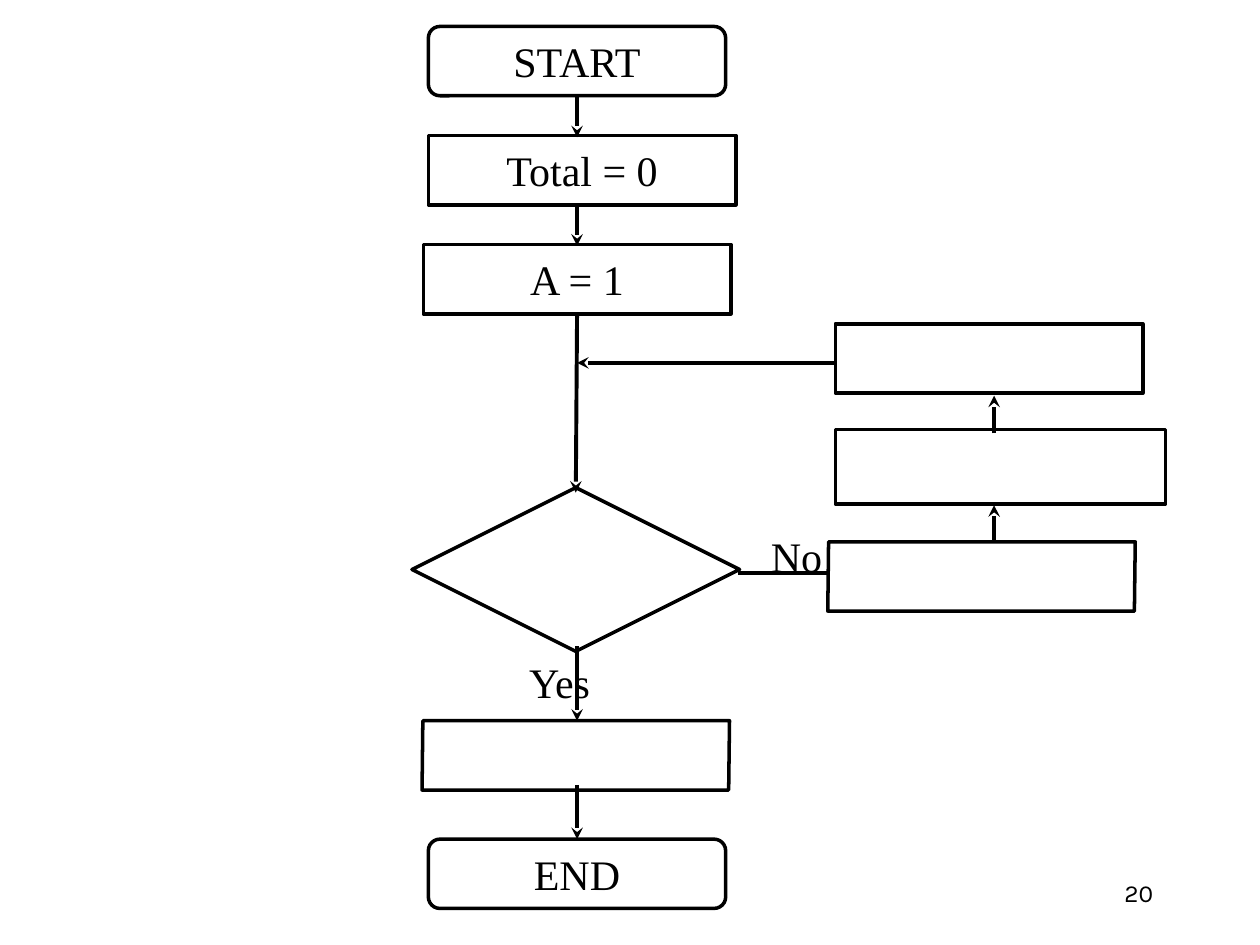
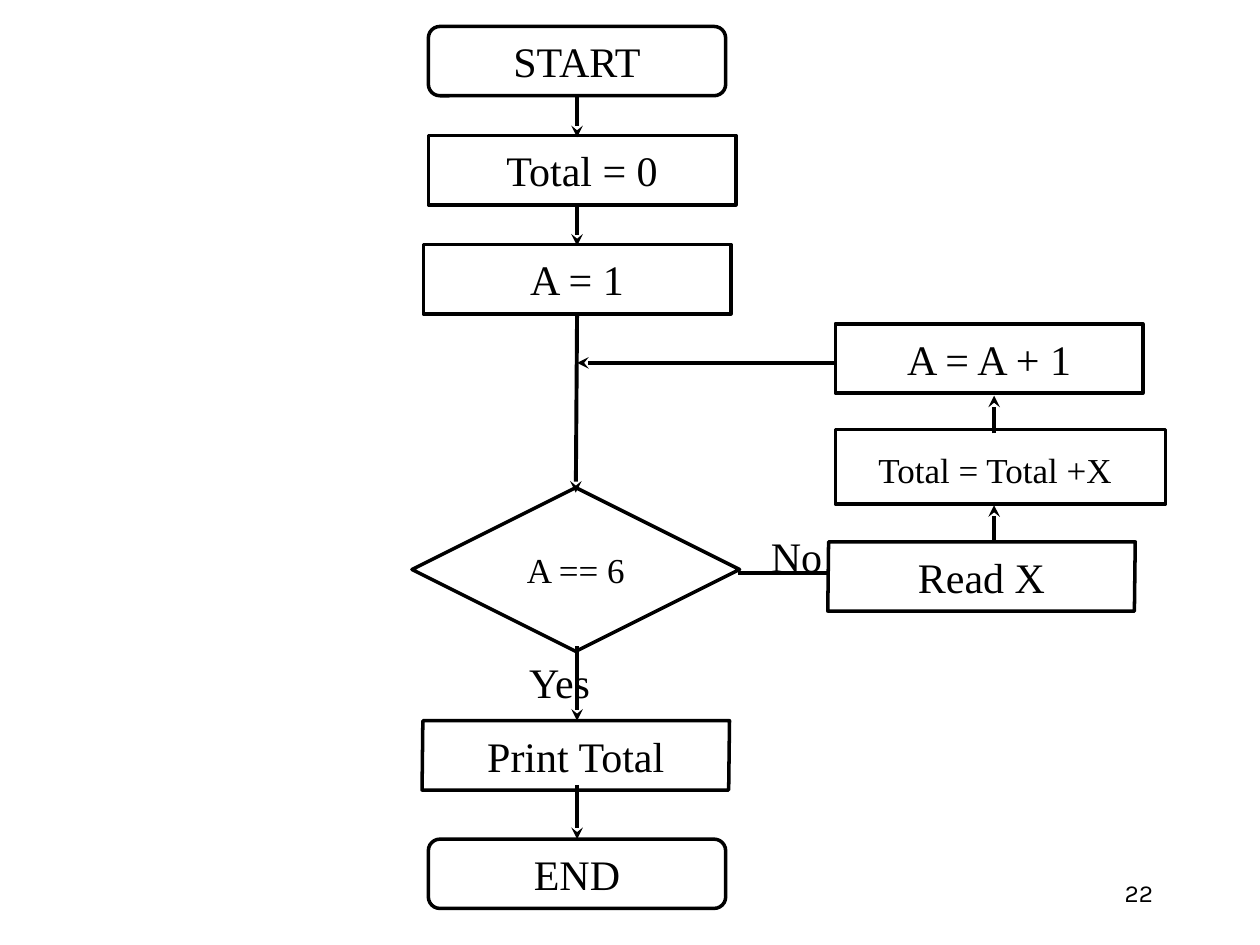
from lxml.etree import SubElement
from pptx import Presentation
from pptx.dml.color import RGBColor
from pptx.enum.shapes import MSO_CONNECTOR as Connector, MSO_SHAPE as Shape
from pptx.enum.text import MSO_ANCHOR as Anchor, PP_ALIGN as Align
from pptx.oxml.ns import qn
from pptx.util import Inches, Pt

COLOURS = {"ink": "000000", "paper": "FFFFFF"}
FLOW_FONT, NUMBER_FONT = "Times New Roman", "Karla"

# Grid: 100 columns by 75 rows on a 10 x 7.5 inch slide
WIDTH, HEIGHT = Inches(10), Inches(7.5)
COLUMN, ROW = WIDTH / 100, HEIGHT / 75
STEP_WIDTH, STEP_HEIGHT = 24.4, 5.5
END_WIDTH = 23.6
MAIN_X, LOOP_X = 45.8, 78.9
FIRST_ROW, STEP_PITCH = 2.1, 8.65
TOTAL_ROW, COUNTER_ROW = (FIRST_ROW + STEP_PITCH * i for i in (1, 2))
PRINT_ROW, END_ROW = 57.2, 66.6

# Start and end of each arrow, as (column, row)
ARROWS = [
    ((MAIN_X, 7.6), (MAIN_X, 10.9)),
    ((MAIN_X, 16.2), (MAIN_X, 19.5)),
    ((MAIN_X, 24.9), (45.7, 39.1)),
    ((MAIN_X, 51.3), (MAIN_X, PRINT_ROW)),
    ((MAIN_X, 62.3), (MAIN_X, END_ROW)),
    ((58.6, 45.5), (67, 45.5)),
    ((LOOP_X, 43.1), (LOOP_X, 40.1)),
    ((LOOP_X, 34.4), (LOOP_X, 31.4)),
    ((66.2, 28.8), (MAIN_X, 28.8)),
]


def colour(name):
    return RGBColor.from_string(COLOURS[name])


def place(column, row, columns, rows):
    return [round(length) for length in
            (column * COLUMN, row * ROW, columns * COLUMN, rows * ROW)]


def write(shape, runs, align, font=FLOW_FONT):
    """Fill the shape's paragraph with (text, size) runs."""
    shape.text_frame.word_wrap = True
    paragraph = shape.text_frame.paragraphs[0]
    paragraph.alignment = align
    for text, size in runs:
        run = paragraph.add_run()
        run.text = text
        run.font.name = font
        run.font.size = Pt(size)
        run.font.color.rgb = colour("ink")


def add_block(shapes, kind, box, runs=(), adjustment=None, filled=False):
    block = shapes.add_shape(kind, *place(*box))
    block.shadow.inherit = False
    if adjustment is not None:
        block.adjustments[0] = adjustment
    if filled:
        block.fill.solid()
        block.fill.fore_color.rgb = colour("paper")
    else:
        block.fill.background()
    block.line.color.rgb = colour("ink")
    block.line.width = Pt(2)
    block.text_frame.vertical_anchor = Anchor.MIDDLE
    write(block, runs, Align.CENTER)


def add_terminal(shapes, row, text):
    box = (MAIN_X - END_WIDTH / 2, row, END_WIDTH, STEP_HEIGHT)
    add_block(shapes, Shape.ROUNDED_RECTANGLE, box, [(text, 24)], 0.167)


def add_step(shapes, column, row, runs, slant=0, filled=False,
             columns=STEP_WIDTH, rows=STEP_HEIGHT):
    add_block(shapes, Shape.PARALLELOGRAM, (column, row, columns, rows),
              runs, slant, filled)


def add_label(shapes, box, text, size=24, align=Align.LEFT, font=FLOW_FONT):
    write(shapes.add_textbox(*place(*box)), [(text, size)], align, font)


def add_arrow(shapes, start, end):
    arrow = shapes.add_connector(Connector.STRAIGHT, *place(*start, *end))
    arrow.line.color.rgb = colour("ink")
    arrow.line.width = Pt(2.25)
    SubElement(arrow.line._get_or_add_ln(), qn("a:tailEnd"), type="stealth")
    SubElement(arrow._element.spPr, qn("a:effectLst"))


def add_flowchart(presentation, number, answers):
    slide = presentation.slides.add_slide(presentation.slide_layouts[6])
    shapes = slide.shapes.add_group_shape().shapes

    # Main column
    add_terminal(shapes, FIRST_ROW, "START")
    add_step(shapes, 34, TOTAL_ROW, [("Total = 0", 24)])
    add_step(shapes, 33.6, COUNTER_ROW, [("A = 1", 24)])
    add_block(shapes, Shape.DIAMOND, (32.7, 38.7, 26, 13),
              answers.get("test", ()), filled=True)
    add_step(shapes, 33.5, PRINT_ROW, answers.get("print", ()), 0.012, True)
    add_terminal(shapes, END_ROW, "END")

    # Loop column, with the reading step over the arrow that enters it
    add_step(shapes, 66.3, 25.7, answers.get("count", ()))
    add_step(shapes, 66.3, 34.1, answers.get("sum", ()), filled=True,
             columns=26.2, rows=5.9)
    for start, end in ARROWS:
        add_arrow(shapes, start, end)
    add_step(shapes, 65.7, 43, answers.get("read", ()), 0.012, True)

    # Branch labels and slide number
    add_label(shapes, (60.2, 41.6, 6.3, 4), "No")
    add_label(shapes, (41, 51.6, 10.2, 4), "Yes")
    add_label(slide.shapes, (71.7, 69.2, 20.8, 4.2), number, 14,
              Align.RIGHT, NUMBER_FONT)


def main():
    presentation = Presentation()
    presentation.slide_width, presentation.slide_height = WIDTH, HEIGHT
    add_flowchart(presentation, "20", {})
    add_flowchart(presentation, "22", {
        "test": [("A == 6", 20)],
        "print": [("Print Total", 24)],
        "count": [("A = A + 1", 24)],
        "sum": [("Total = Total +X", 20), (" ", 24)],
        "read": [("Read X", 24)],
    })
    presentation.save("out.pptx")


if __name__ == "__main__":
    main()
